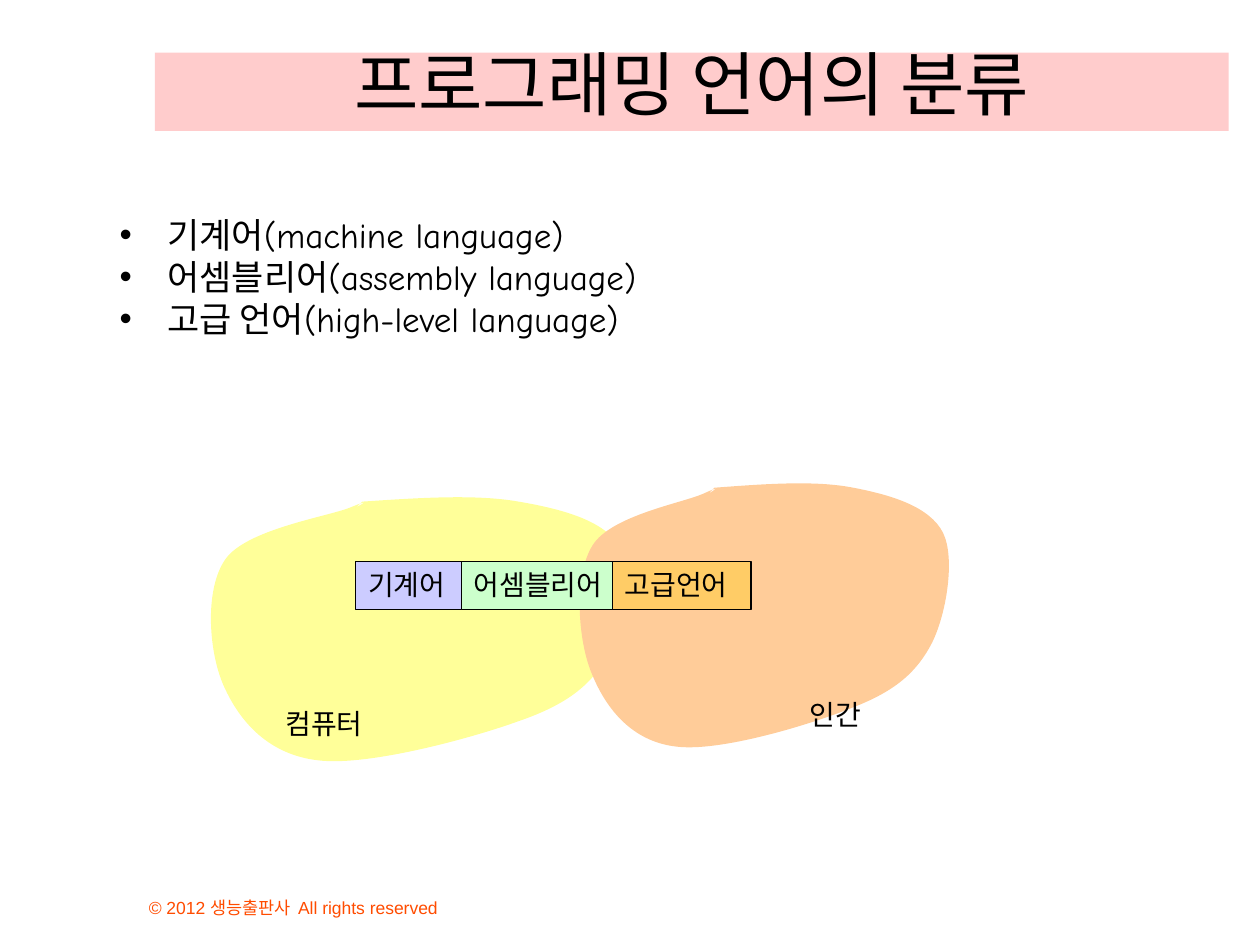
from dataclasses import dataclass

from lxml import etree
from pptx import Presentation
from pptx import util as u
from pptx.dml.color import RGBColor
from pptx.enum import shapes, text
from pptx.oxml.ns import qn


@dataclass(frozen=True)
class Theme:
    display: str = "Comic Neue"
    korean: str = "Noto Sans CJK KR"
    small: str = "Arial"
    title_pt: int = 40
    body_pt: int = 20
    label_pt: int = 16
    footer_pt: int = 10
    ink: str = "000000"
    footer: str = "FF4C00"
    title_fill: str = "FFCCCC"
    computer: str = "FFFF99"
    human: str = "FFCC99"
    machine: str = "CCCCFF"
    assembly: str = "CCFFCC"
    high_level: str = "FFCC66"


T = Theme()


def add_run(p, words, font, size, color):
    """Add a run in the given Latin font, with Hangul in the Korean font."""
    r = p.add_run()
    r.text = words
    r.font.name = font
    r.font.size = u.Pt(size)
    r.font.color.rgb = RGBColor.from_string(color)
    etree.SubElement(r.font._element, qn("a:ea")).set("typeface", T.korean)


def bend_lines(sp):
    """Turn each three line segments of a freeform into one Bezier curve."""
    lines = list(sp._element.iter(qn("a:lnTo")))
    for i in range(0, len(lines), 3):
        curve = etree.Element(qn("a:cubicBezTo"))
        lines[i].addprevious(curve)
        for line in lines[i:i + 3]:
            curve.append(line[0])
            line.getparent().remove(line)


prs = Presentation()
prs.slide_width, prs.slide_height = u.Cm(25.4), u.Cm(19.05)
s = prs.slides.add_slide(prs.slide_layouts[1])

# Footer
sp = s.shapes.add_textbox(u.Cm(2.75), u.Cm(17.56), u.Cm(9.73), u.Cm(1.07))
tf = sp.text_frame
tf.word_wrap = True
tf.vertical_anchor = text.MSO_ANCHOR.BOTTOM
add_run(tf.paragraphs[0], "© 2012 생능출판사  All rights reserved",
        T.small, T.footer_pt, T.footer)

# Title
sp = s.shapes.title
sp.left, sp.top, sp.width, sp.height = u.Cm(3.12), u.Cm(1.06), u.Cm(21.65), u.Cm(1.58)
sp.fill.solid()
sp.fill.fore_color.rgb = RGBColor.from_string(T.title_fill)
tf = sp.text_frame
tf.auto_size = text.MSO_AUTO_SIZE.NONE
tf.vertical_anchor = text.MSO_ANCHOR.BOTTOM
p = tf.paragraphs[0]
p.alignment = text.PP_ALIGN.CENTER
add_run(p, "프로그래밍 언어의 분류", T.display, T.title_pt, T.ink)

# List of language kinds
sp = s.placeholders[1]
sp.left, sp.top, sp.width, sp.height = u.Cm(2.16), u.Cm(4.17), u.Cm(22.81), u.Cm(2.79)
tf = sp.text_frame
tf.auto_size = text.MSO_AUTO_SIZE.SHAPE_TO_FIT_TEXT
kinds = ["기계어(machine language)", "어셈블리어(assembly language)",
         "고급 언어(high-level language)"]
for i, kind in enumerate(kinds):
    p = tf.add_paragraph() if i else tf.paragraphs[0]
    pPr = p._p.get_or_add_pPr()
    pPr.set("marL", str(u.Cm(0.96)))
    pPr.set("indent", str(-u.Cm(0.96)))
    etree.SubElement(pPr, qn("a:buFont")).set("typeface", T.small)
    etree.SubElement(pPr, qn("a:buChar")).set("char", "•")
    p.space_before = u.Pt(0)
    add_run(p, kind, T.display, T.body_pt, T.ink)

# Two regions sharing one outline: a start, then three points per curve,
# in percent of the region's box
outline = [
    (35.4, 5),
    (37.2, 3.3), (39, 1.8), (34, 5),
    (28.8, 8.3), (9.8, 13), (5, 24),
    (0, 35.2), (1.1, 59.2), (5, 71.7),
    (8.6, 83.8), (15.2, 95.8), (26.7, 97.8),
    (38.1, 100), (62.1, 89.8), (73.3, 83.4),
    (84.5, 77.3), (90, 70.3), (93.9, 59.7),
    (97.7, 49), (100, 28.7), (96.8, 19.4),
    (93.3, 9.7), (83.3, 5.5), (73.3, 2.8),
    (63.3, 0), (50.1, 1.4), (36.9, 2.8),
]
for left, top, width, height, color in [
        (4.11, 9.96, 8.66, 5.49, T.computer), (11.56, 9.68, 7.7, 5.49, T.human)]:
    points = [(u.Cm(left + width * x / 100), u.Cm(top + height * y / 100))
              for x, y in outline]
    fb = s.shapes.build_freeform(*points[0])
    fb.add_line_segments(points[1:], close=False)
    sp = fb.convert_to_shape()
    bend_lines(sp)
    sp.shadow.inherit = False
    sp.fill.solid()
    sp.fill.fore_color.rgb = RGBColor.from_string(color)
    sp.line.fill.background()

# Language boxes, then region names without fill
for words, left, top, width, height, color in [
        ("기계어", 7.17, 11.32, 2.24, 0.97, T.machine),
        ("어셈블리어", 9.3, 11.32, 3.35, 0.97, T.assembly),
        ("고급언어", 12.35, 11.32, 2.79, 0.97, T.high_level),
        ("컴퓨터", 5.51, 14.12, 2.39, 0.94, None),
        ("인간", 16.07, 13.94, 1.83, 0.94, None)]:
    box = u.Cm(left), u.Cm(top), u.Cm(width), u.Cm(height)
    if color:
        sp = s.shapes.add_shape(shapes.MSO_SHAPE.RECTANGLE, *box)
        sp.shadow.inherit = False
        sp.fill.solid()
        sp.fill.fore_color.rgb = RGBColor.from_string(color)
        sp.line.color.rgb = RGBColor.from_string(T.ink)
        sp.line.width = u.Pt(0.75)
    else:
        sp = s.shapes.add_textbox(*box)
    tf = sp.text_frame
    tf.word_wrap = bool(color)
    tf.vertical_anchor = text.MSO_ANCHOR.TOP
    p = tf.paragraphs[0]
    p.alignment = text.PP_ALIGN.LEFT
    add_run(p, words, T.korean, T.label_pt, T.ink)

prs.save("out.pptx")
